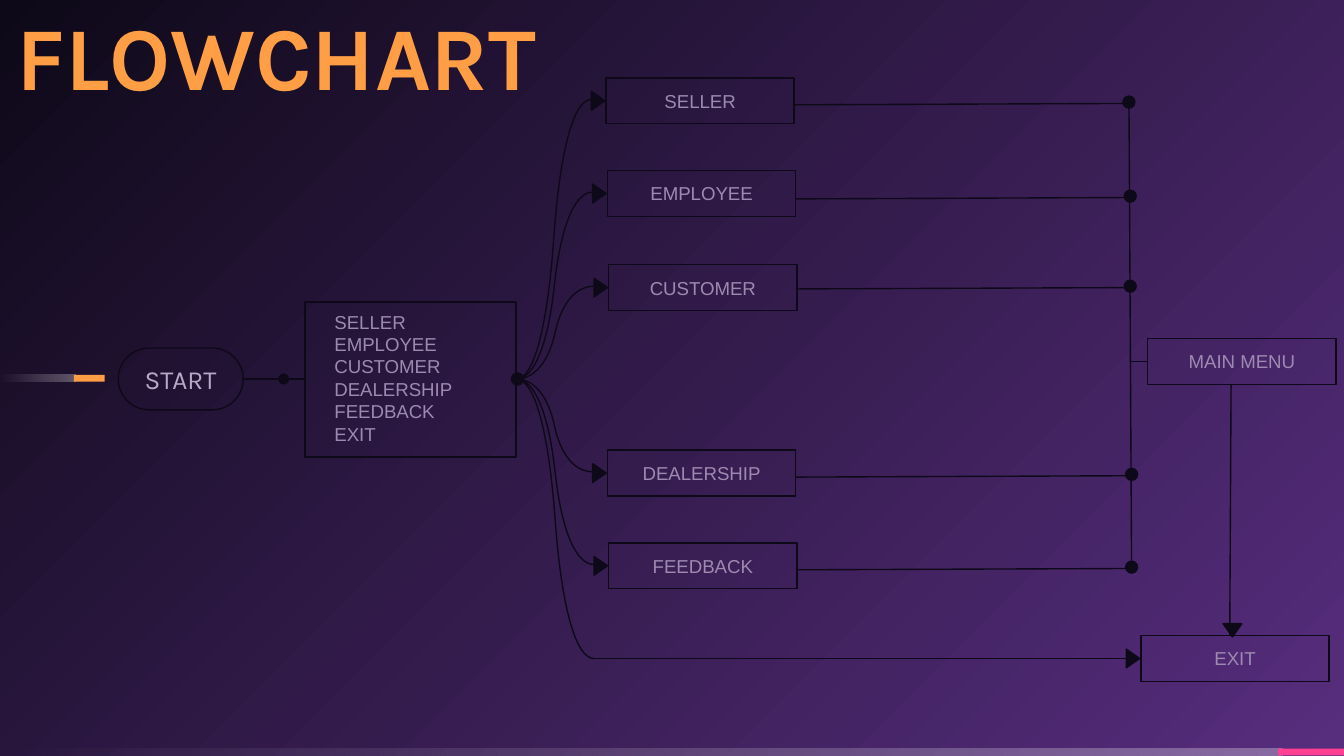
from dataclasses import dataclass

from lxml.etree import SubElement
from pptx import Presentation
from pptx.dml.color import RGBColor
from pptx.enum.shapes import MSO_CONNECTOR, MSO_SHAPE
from pptx.enum.text import MSO_ANCHOR, MSO_AUTO_SIZE, PP_ALIGN
from pptx.oxml.ns import qn
from pptx.util import Emu, Pt

SCALE = 9144
INK, MAUVE, ORANGE = "0E0918", "9D8AB0", "FF9E44"
BOX_W, BOX_H = 140, 34
HUB_X, HUB_Y = 384, 282


@dataclass(frozen=True)
class Branch:
    label: str
    x: int
    y: int
    dot_x: int
    dot_y: int


BRANCHES = [
    Branch("SELLER", 451, 58, 840, 76),
    Branch("EMPLOYEE", 452, 127, 841, 146),
    Branch("CUSTOMER", 453, 197, 841, 213),
    Branch("DEALERSHIP", 452, 335, 842, 353),
    Branch("FEEDBACK", 453, 404, 842, 422),
]


def px(size: float) -> Emu:
    return Emu(round(size * SCALE))


def tint(code: str) -> RGBColor:
    return RGBColor.from_string(code)


def shape(slide, kind, x: int, y: int, w: int, h: int, fill: str = "", line: float = 0):
    item = slide.shapes.add_shape(kind, px(x), px(y), px(w), px(h))
    item.shadow.inherit = False
    if fill:
        item.fill.solid()
        item.fill.fore_color.rgb = tint(fill)
    else:
        item.fill.background()
    if line:
        item.line.color.rgb = tint(INK)
        item.line.width = Pt(line)
    else:
        item.line.fill.background()
    return item


def style(frame, size: int, font: str, code: str, align, bold: bool = False) -> None:
    frame.word_wrap = True
    for para in frame.paragraphs:
        para.alignment = align
        for run in para.runs:
            run.font.size = Pt(size)
            run.font.name = font
            run.font.bold = bold
            run.font.color.rgb = tint(code)


def box(slide, label: str, x: int, y: int) -> None:
    item = shape(slide, MSO_SHAPE.RECTANGLE, x, y, BOX_W, BOX_H, line=0.75)
    frame = item.text_frame
    frame.text = label
    frame.vertical_anchor = MSO_ANCHOR.MIDDLE
    style(frame, 10, "Arial", MAUVE, PP_ALIGN.CENTER)


def link(slide, x1: int, y1: int, x2: int, y2: int, tail: str = "") -> None:
    item = slide.shapes.add_connector(
        MSO_CONNECTOR.STRAIGHT, px(x1), px(y1), px(x2), px(y2))
    item.line.color.rgb = tint(INK)
    item.line.width = Pt(0.75)
    if tail:
        SubElement(item.element.spPr.find(qn("a:ln")), qn("a:tailEnd"), type=tail)
    SubElement(item.element.spPr, qn("a:effectLst"))


def dot(slide, x: int, y: int) -> None:
    shape(slide, MSO_SHAPE.OVAL, x - 5, y - 5, 10, 10, INK)


def head(slide, x: int, y: int, turn: int) -> None:
    item = shape(slide, MSO_SHAPE.ISOSCELES_TRIANGLE, x - 7, y - 5, 14, 10, INK, 0.75)
    item.rotation = turn


def cubic(a, b, c, d, steps: int = 16) -> list:
    spots = []
    for step in range(1, steps + 1):
        t = step / steps
        s = 1 - t
        spots.append(tuple(
            px(s**3 * p + 3 * s * s * t * q + 3 * s * t * t * r + t**3 * u)
            for p, q, r, u in zip(a, b, c, d)))
    return spots


def curve(slide, x: int, y: int) -> None:
    def at(across: float, down: float) -> tuple:
        return HUB_X + across * (x - HUB_X), HUB_Y + down * (y - HUB_Y)

    mid = at(0.5, 0.5)
    spots = cubic(at(0, 0), at(0.24, 0), at(0.42, 0.19), mid)
    spots += cubic(mid, at(0.58, 0.81), at(0.76, 1), at(1, 1))
    pen = slide.shapes.build_freeform(px(HUB_X), px(HUB_Y))
    pen.add_line_segments(spots, close=False)
    item = pen.convert_to_shape()
    item.shadow.inherit = False
    item.fill.background()
    item.line.color.rgb = tint(INK)
    item.line.width = Pt(0.75)


def fade(fill, first: str, last: str) -> None:
    fill.gradient()
    for stop, code in zip(fill.gradient_stops, (first, last)):
        stop.color.rgb = tint(code)


def glow(slide, x: int, y: int, w: int) -> None:
    item = shape(slide, MSO_SHAPE.RECTANGLE, x, y, w, 5)
    fade(item.fill, "FFFFFF", "FFFFFF")
    item.fill.gradient_angle = 180
    for node, alpha in zip(item.element.spPr.iter(qn("a:srgbClr")), ("30000", "0")):
        SubElement(node, qn("a:alpha"), val=alpha)


def backdrop(slide) -> None:
    fade(slide.background.fill, "572D7E", INK)
    grad = next(slide.element.iter(qn("a:gradFill")))
    grad.remove(grad.find(qn("a:lin")))
    ring = SubElement(grad, qn("a:path"), path="circle")
    SubElement(ring, qn("a:fillToRect"), l="100000", t="100000")
    glow(slide, 0, 557, 954)
    shape(slide, MSO_SHAPE.RECTANGLE, 951, 557, 49, 5, "FF4093")
    glow(slide, 0, 279, 56)
    shape(slide, MSO_SHAPE.RECTANGLE, 55, 279, 23, 5, ORANGE)


def heading(slide) -> None:
    title = slide.shapes.title
    title.left, title.top, title.width, title.height = map(px, (12, -37, 400, 166))
    frame = title.text_frame
    frame.text = "FLOWCHART"
    frame.auto_size = MSO_AUTO_SIZE.NONE
    frame.vertical_anchor = MSO_ANCHOR.MIDDLE
    frame.margin_left = frame.margin_right = 0
    frame.margin_top = frame.margin_bottom = 0
    frame.paragraphs[0].line_spacing = 0.9
    style(frame, 48, "Karla", ORANGE, PP_ALIGN.LEFT, True)


def entry(slide) -> None:
    pill = shape(slide, MSO_SHAPE.ROUNDED_RECTANGLE, 88, 259, 93, 46, line=0.75)
    pill.adjustments[0] = 0.5
    pill.text_frame.text = "START"
    pill.text_frame.vertical_anchor = MSO_ANCHOR.MIDDLE
    style(pill.text_frame, 14, "Karla", "B8A9C6", PP_ALIGN.CENTER)
    link(slide, 181, HUB_Y, 227, HUB_Y)
    link(slide, 181, HUB_Y, 211, HUB_Y, "oval")
    shape(slide, MSO_SHAPE.RECTANGLE, 227, 225, 157, 115, line=1)
    menu = slide.shapes.add_textbox(px(239), px(226), px(180), px(111))
    menu.text_frame.text = "\n".join([part.label for part in BRANCHES] + ["EXIT"])
    style(menu.text_frame, 10, "Arial", MAUVE, PP_ALIGN.JUSTIFY)


def main() -> None:
    deck = Presentation()
    deck.slide_width = px(1000)
    deck.slide_height = Emu(deck.slide_width * 9 // 16)
    slide = deck.slides.add_slide(deck.slide_layouts[5])
    backdrop(slide)
    heading(slide)
    entry(slide)
    for part in BRANCHES:
        curve(slide, part.x - 11, part.y + 16)
        head(slide, part.x - 6, part.y + 17, 90)
        box(slide, part.label, part.x, part.y)
        link(slide, part.x + BOX_W, part.dot_y + 2, part.dot_x, part.dot_y + 1)
        dot(slide, part.dot_x, part.dot_y)
    curve(slide, 442, 490)
    link(slide, 442, 490, 849, 490)
    head(slide, 843, 490, 90)
    box(slide, "EXIT", 849, 473)
    dot(slide, 385, HUB_Y)
    link(slide, 840, 74, 842, 424)
    link(slide, 841, 269, 854, 269)
    box(slide, "MAIN MENU", 854, 252)
    link(slide, 916, 286, 915, 473)
    head(slide, 917, 469, 180)
    deck.save("out.pptx")


if __name__ == "__main__":
    main()
